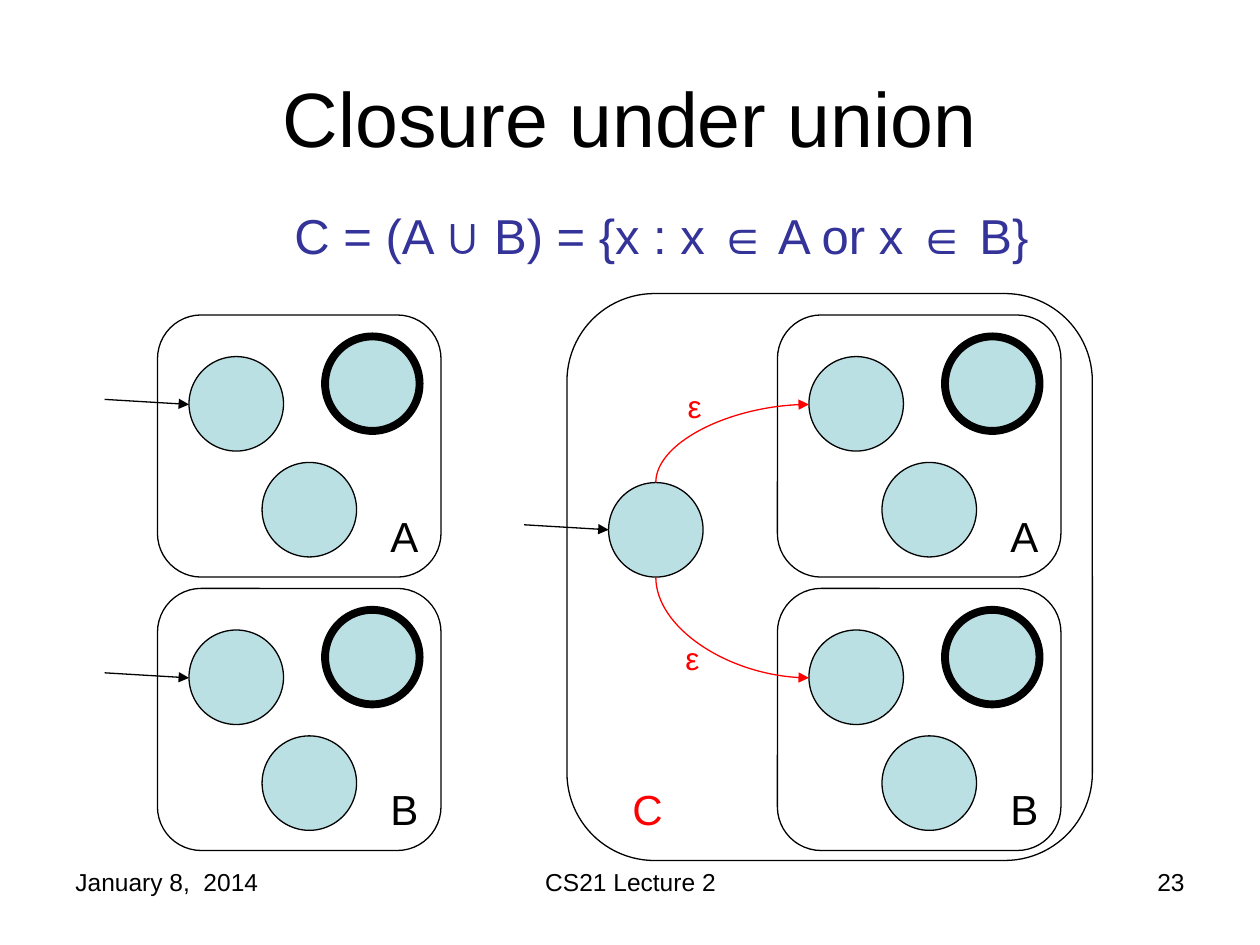
from typing import NamedTuple

from lxml.etree import SubElement
from pptx import Presentation
from pptx.dml.color import RGBColor as Rgb
from pptx.enum.shapes import MSO_CONNECTOR as Link, MSO_SHAPE as Form
from pptx.enum.text import MSO_ANCHOR as Anchor, PP_ALIGN as Align
from pptx.oxml.ns import qn
from pptx.util import Inches, Pt

COLORS = {"ink": "000000", "state": "BBE0E3", "new": "FF0000", "rule": "333399"}
SIDE = 0.75


class Box(NamedTuple):
    left: float
    top: float
    width: float
    height: float


class Label(NamedTuple):
    text: str
    box: Box
    size: float
    color: str = "ink"
    align: Align = Align.LEFT
    anchor: Anchor = Anchor.TOP
    inset: float = 0.1
    wrap: bool = True


class Machine(NamedTuple):
    name: str
    left: float
    top: float
    entry: bool


class State(NamedTuple):
    left: float
    top: float
    line: float = 0.75


LABELS = [
    Label("January 8,  2014", Box(0.5, 6.83, 2.33, 0.52), 14),
    Label("CS21 Lecture 2", Box(3.42, 6.83, 3.17, 0.52), 14, align=Align.CENTER),
    Label("23", Box(7.17, 6.83, 2.33, 0.52), 14, align=Align.RIGHT),
    Label("Closure under union", Box(0.5, 0.3, 9, 1.25), 44,
          align=Align.CENTER, anchor=Anchor.MIDDLE),
    Label("C = (A ∪ B) = {x : x ∈ A or x ∈ B}", Box(0.5, 1.58, 9, 0.75), 28,
          "rule", Align.CENTER, inset=0.6),
    Label("ε", Box(5.36, 3.02, 0.31, 0.4), 18, "new", wrap=False),
    Label("ε", Box(5.34, 5.02, 0.31, 0.4), 18, "new", wrap=False),
    Label("C", Box(4.92, 6.17, 0.67, 0.5), 24, "new"),
]
MACHINES = [
    Machine(name, left, top, entry)
    for left, entry in ((1.25, True), (6.17, False))
    for name, top in (("A", 2.5), ("B", 4.67))
]
STATES = [State(0.25, 0.33), State(1.33, 0.17, 4.5), State(0.83, 1.17)]
START = State(4.83, 3.83)


def rgb(name: str) -> Rgb:
    return Rgb.from_string(COLORS[name])


def write(slide, label: Label) -> None:
    frame = slide.shapes.add_textbox(*map(Inches, label.box)).text_frame
    frame.word_wrap = label.wrap
    frame.vertical_anchor = label.anchor
    frame.margin_left = Inches(label.inset)
    para = frame.paragraphs[0]
    para.text = label.text
    para.alignment = label.align
    para.font.name = "Arial"
    para.font.size = Pt(label.size)
    para.font.color.rgb = rgb(label.color)


def outline(slide, form: Form, box: Box, line: float = 0.75):
    shape = slide.shapes.add_shape(form, *map(Inches, box))
    shape.shadow.inherit = False
    shape.fill.background()
    shape.line.color.rgb = rgb("ink")
    shape.line.width = Pt(line)
    return shape


def circle(slide, state: State) -> None:
    shape = outline(slide, Form.OVAL, Box(state.left, state.top, SIDE, SIDE), state.line)
    shape.fill.solid()
    shape.fill.fore_color.rgb = rgb("state")


def arrow(slide, kind: Link, x1: float, y1: float, x2: float, y2: float, color: str):
    line = slide.shapes.add_connector(kind, *map(Inches, (x1, y1, x2, y2)))
    line.line.color.rgb = rgb(color)
    line.line.width = Pt(0.75)
    SubElement(line.line._get_or_add_ln(), qn("a:tailEnd"), type="triangle")
    SubElement(line._element.spPr, qn("a:effectLst"))
    return line


def enter(slide, x: float, y: float) -> None:
    arrow(slide, Link.STRAIGHT, x - 0.67, y - 0.04, x, y, "ink")


def bend(slide, x1: float, y1: float, x2: float, y2: float) -> None:
    midx, midy = (x1 + x2) / 2, (y1 + y2) / 2
    wide, high = abs(y2 - y1) / 2, (x2 - x1) / 2
    turn = 90
    if y2 > y1:
        turn, high = 270, -high
    line = arrow(slide, Link.CURVE, midx + wide, midy + high,
                 midx - wide, midy - high, "new")
    props = line._element.spPr
    props.find(qn("a:xfrm")).set("rot", str(turn * 60000))
    props.find(qn("a:prstGeom")).set("prst", "curvedConnector2")


def draw(slide, unit: Machine) -> None:
    left, top = unit.left, unit.top
    outline(slide, Form.ROUNDED_RECTANGLE, Box(left, top, 2.25, 2.08))
    for state in STATES:
        circle(slide, State(left + state.left, top + state.top, state.line))
    if unit.entry:
        enter(slide, left + 0.25, top + 0.71)
    write(slide, Label(unit.name, Box(left + 1.75, top + 1.5, 0.67, 0.5), 24))


def main() -> None:
    deck = Presentation()
    deck.slide_width, deck.slide_height = Inches(10), Inches(7.5)
    slide = deck.slides.add_slide(deck.slide_layouts[6])
    outline(slide, Form.ROUNDED_RECTANGLE, Box(4.5, 2.33, 4.17, 4.5))
    for unit in MACHINES:
        draw(slide, unit)
    circle(slide, START)
    enter(slide, START.left, START.top + SIDE / 2)
    for unit in MACHINES:
        if not unit.entry:
            edge = START.top if unit.name == "A" else START.top + SIDE
            bend(slide, START.left + SIDE / 2, edge, unit.left + 0.25, unit.top + 0.71)
    for label in LABELS:
        write(slide, label)
    deck.save("out.pptx")


if __name__ == "__main__":
    main()
